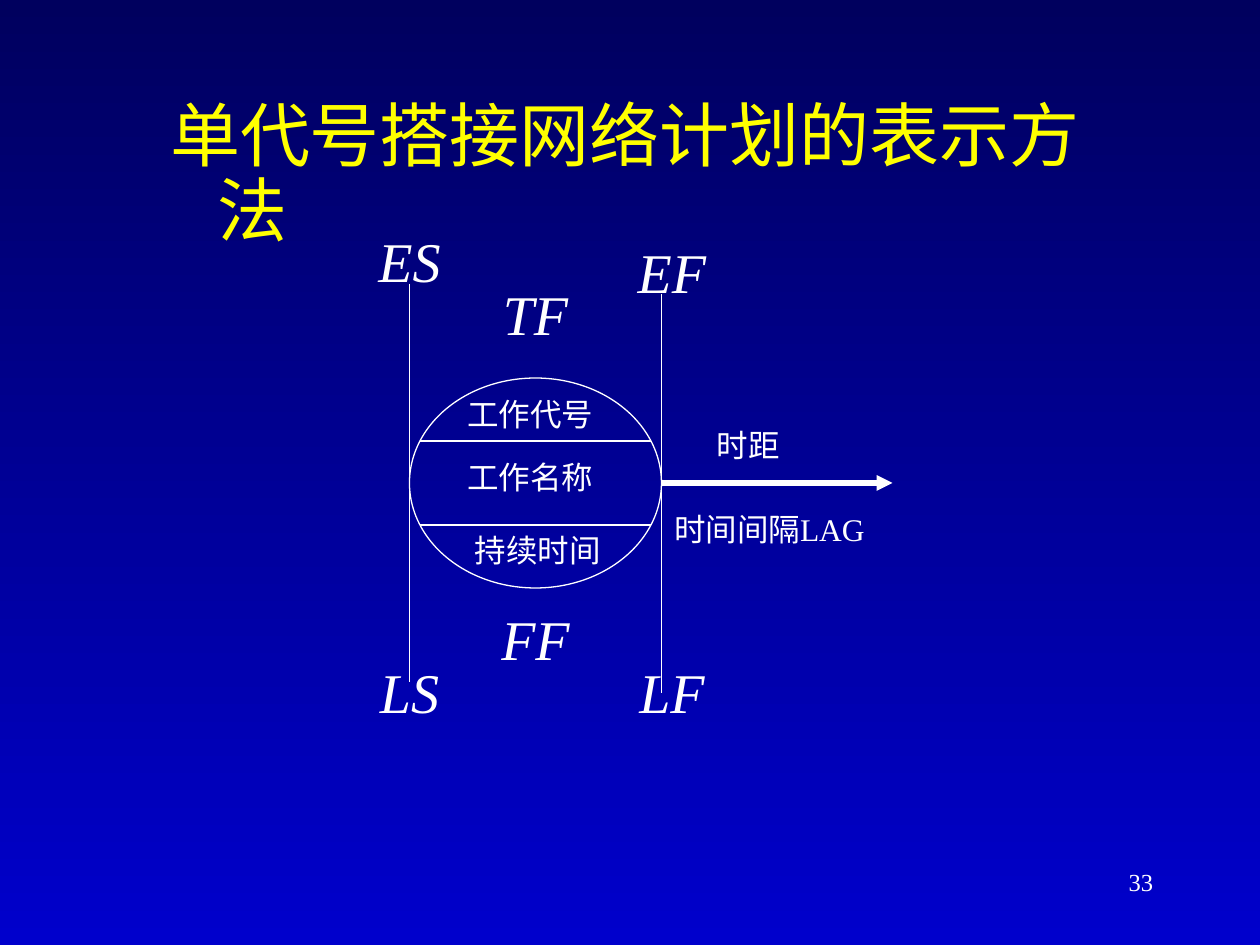
from lxml.etree import SubElement
from pptx import Presentation
from pptx.dml.color import RGBColor
from pptx.enum.shapes import MSO_CONNECTOR, MSO_SHAPE
from pptx.enum.text import MSO_ANCHOR, MSO_AUTO_SIZE, PP_ALIGN
from pptx.oxml.ns import qn
from pptx.util import Pt


def rgb(value):
    return RGBColor.from_string(value)


def write(sp, text, size, color="FFFFFF", font="Times New Roman",
          italic=False, align=PP_ALIGN.CENTER, before=0):
    tf = sp.text_frame
    tf.vertical_anchor = MSO_ANCHOR.TOP
    p = tf.paragraphs[0]
    p.alignment = align
    p.space_before = Pt(before)
    r = p.add_run()
    r.text = text
    for name, value in {"size": Pt(size), "name": font, "italic": italic}.items():
        setattr(r.font, name, value)
    r.font.color.rgb = rgb(color)
    SubElement(r.font._element, qn("a:ea"), typeface="Noto Sans CJK SC")
    return p


prs = Presentation()
prs.slide_width, prs.slide_height = Pt(720), Pt(540)
s = prs.slides.add_slide(prs.slide_layouts[5])

fill = s.background.fill
fill.gradient()
fill.gradient_angle = 270
for stop, (position, color) in zip(fill.gradient_stops, [(0, "00005E"), (1, "0000CC")]):
    stop.position = position
    stop.color.rgb = rgb(color)

title = s.shapes.title
for name, value in {"left": 90, "top": 54, "width": 582, "height": 102}.items():
    setattr(title, name, Pt(value))
p = write(title, "单代号搭接网络计划的表示方法", 40, "FFFF00", "Noto Sans CJK SC",
          align=PP_ALIGN.LEFT, before=10)
p.line_spacing = 0.9
pPr = p._p.get_or_add_pPr()
pPr.set("marL", str(Pt(27)))
pPr.set("indent", str(-Pt(27)))
tf = title.text_frame
for name, value in {"word_wrap": True, "auto_size": MSO_AUTO_SIZE.NONE,
                    "margin_right": Pt(20)}.items():
    setattr(tf, name, value)

node = s.shapes.add_shape(MSO_SHAPE.OVAL, Pt(234), Pt(216), Pt(144), Pt(120))
node.shadow.inherit = False
node.fill.background()
node.line.color.rgb = rgb("FFFFFF")
node.line.width = Pt(0.75)

lines = [
    (234, 162, 234, 390, 0.75),
    (378, 168, 378, 396, 0.75),
    (240, 252, 372, 252, 0.75),
    (240, 300, 372, 300, 0.75),
    (378, 276, 510, 276, 3),
]
for x1, y1, x2, y2, width in lines:
    line = s.shapes.add_connector(MSO_CONNECTOR.STRAIGHT, Pt(x1), Pt(y1), Pt(x2), Pt(y2))
    line.line.color.rgb = rgb("FFFFFF")
    line.line.width = Pt(width)
    if width == 3:
        SubElement(line.line._get_or_add_ln(), qn("a:tailEnd"), type="triangle")
    SubElement(line._element.spPr, qn("a:effectLst"))

times = [
    ("ES", 204, 126), ("LF", 354, 372), ("LS", 204, 372),
    ("EF", 354, 132), ("FF", 276, 342), ("TF", 276, 156),
]
for text, x, y in times:
    sp = s.shapes.add_textbox(Pt(x), Pt(y), Pt(60), Pt(46))
    sp.text_frame.word_wrap = True
    sp.text_frame.auto_size = MSO_AUTO_SIZE.SHAPE_TO_FIT_TEXT
    write(sp, text, 32, italic=True, before=20)

labels = [
    ("工作代号", 246, 222, 114, True, 11.2),
    ("工作名称", 246, 258, 114, True, 11.2),
    ("持续时间", 264, 300, 86.4, False, 0),
    ("时间间隔LAG", 376, 288, 127.4, False, 0),
    ("时距", 402.5, 240, 50.4, False, 0),
]
for text, x, y, width, wrap, before in labels:
    sp = s.shapes.add_textbox(Pt(x), Pt(y), Pt(width), Pt(29))
    sp.text_frame.word_wrap = wrap
    sp.text_frame.auto_size = MSO_AUTO_SIZE.SHAPE_TO_FIT_TEXT
    write(sp, text, 18, before=before)

number = s.shapes.add_textbox(Pt(516), Pt(492), Pt(150), Pt(36))
number.text_frame.word_wrap = True
write(number, "33", 14, align=PP_ALIGN.RIGHT)

prs.save("out.pptx")
